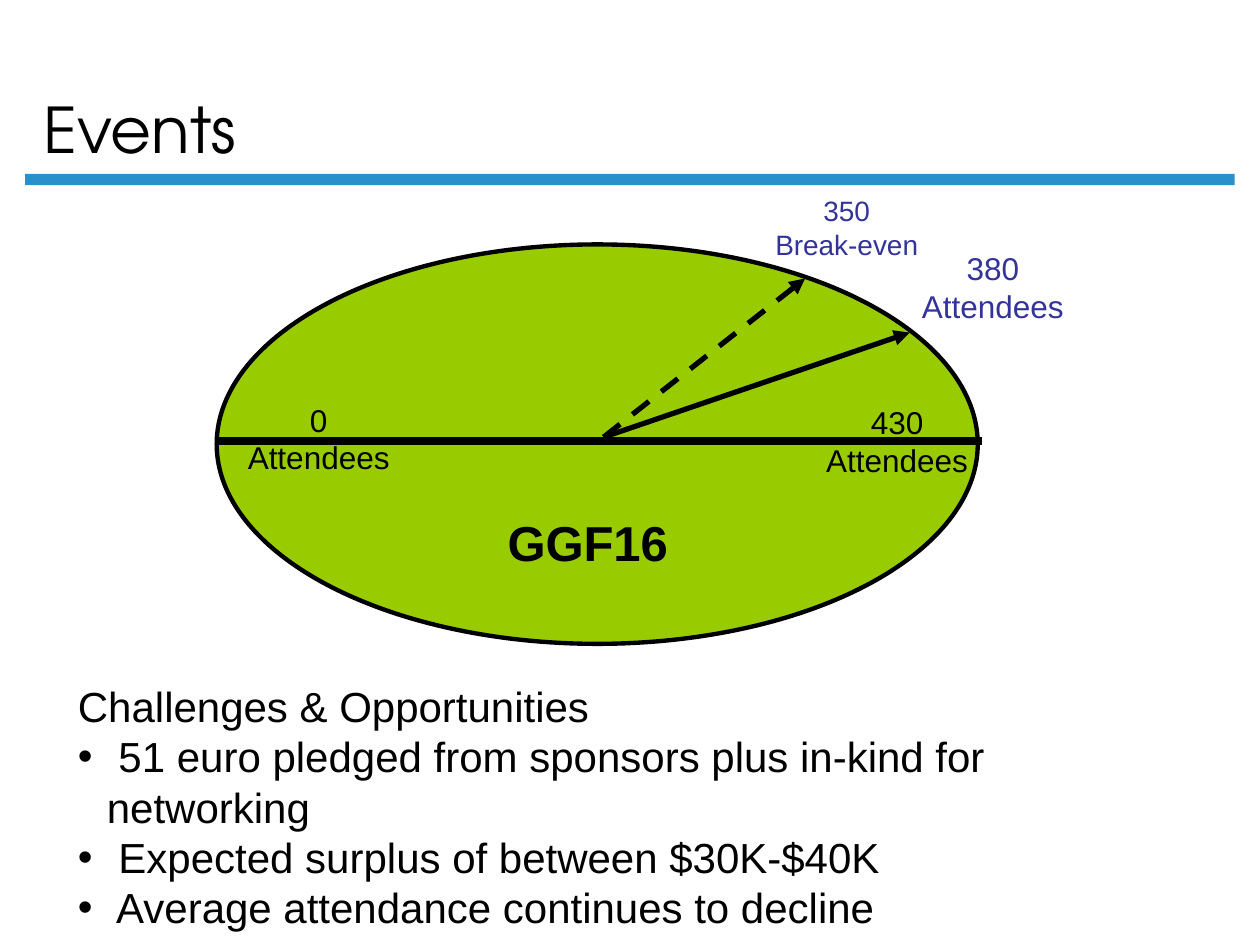
from lxml.etree import SubElement as Sub
from pptx import Presentation
from pptx.dml.color import RGBColor as Rgb
from pptx.enum.dml import MSO_LINE as Dash
from pptx.enum.shapes import MSO_CONNECTOR as Link, MSO_SHAPE as Form
from pptx.enum.text import MSO_ANCHOR as Anchor, PP_ALIGN as Align
from pptx.oxml.ns import qn
from pptx.util import Inches, Pt

HUES = {"ink": "000000", "bar": "2990CA", "dial": "99CC00", "mark": "333399"}
UNIT = Inches(0.1)


def hue(name):
    """Return a named colour."""
    return Rgb.from_string(HUES[name])


def grid(*spans):
    """Turn columns and rows of a 100 by 75 grid into lengths."""
    return [round(span * UNIT) for span in spans]


def shift(box, part):
    """Place a part, given relative to a box, on the slide."""
    return (box[0] + part[0], box[1] + part[1], *part[2:])


def form(slide, kind, box, fill, edge=None):
    """Draw a filled shape, outlined if an edge width is given."""
    shape = slide.shapes.add_shape(kind, *grid(*box))
    shape.shadow.inherit = False
    shape.fill.solid()
    shape.fill.fore_color.rgb = hue(fill)
    if edge:
        shape.line.color.rgb = hue("ink")
        shape.line.width = Pt(edge)
    else:
        shape.line.fill.background()


def rule(slide, start, end, width, head=True, dash=None):
    """Draw a straight line, with an arrowhead at its end if asked."""
    link = slide.shapes.add_connector(Link.STRAIGHT, *grid(*start, *end))
    link.line.color.rgb = hue("ink")
    link.line.width = Pt(width)
    if dash:
        link.line.dash_style = dash
    if head:
        Sub(link.line._get_or_add_ln(), qn("a:tailEnd"), type="triangle")
    Sub(link._element.spPr, qn("a:effectLst"))


def bullet(para):
    """Give a paragraph a hanging bullet."""
    props = para._p.get_or_add_pPr()
    inset = Inches(0.23)
    props.set("marL", str(inset))
    props.set("indent", str(-inset))
    Sub(props, qn("a:buFont"), typeface="Arial")
    Sub(props, qn("a:buChar"), char="•")


def write(slide, box, lines, size, tone="ink", face="Arial", bold=False,
          align=Align.LEFT, anchor=Anchor.TOP, wrap=False, dots=False):
    """Write lines of text; with dots, all but the first are bulleted."""
    frame = slide.shapes.add_textbox(*grid(*box)).text_frame
    frame.word_wrap = wrap
    frame.vertical_anchor = anchor
    for i, line in enumerate(lines):
        para = frame.add_paragraph() if i else frame.paragraphs[0]
        para.text = line
        para.alignment = align
        if dots and i:
            bullet(para)
        font = para.font
        font.name, font.size, font.bold = face, Pt(size), bold
        font.color.rgb = hue(tone)


def header(slide, box):
    """Place the title above its bar."""
    x, y, w, h = box
    write(slide, (x + 0.5, y, w - 10.4, h - 1), ["Events"], 36,
          face="TeX Gyre Adventor", anchor=Anchor.BOTTOM, wrap=True)
    form(slide, Form.RECTANGLE, (x, y + h - 0.9, w, 0.9), "bar")


def dial(slide, box):
    """Place the attendance dial with its needles and labels."""
    form(slide, Form.OVAL, box, "dial", 2.5)
    rule(slide, shift(box, (0.2, 15.6)), shift(box, (60.7, 15.6)), 4.5, False)
    hub = shift(box, (30.7, 15.3))
    for tip, dash in (((55, 7), None), ((46.7, 2.7), Dash.DASH)):
        rule(slide, hub, shift(box, tip), 3, dash=dash)
    labels = (
        (47, 12.1, "430", "Attendees", 18, "ink"),
        (54.6, -0.1, "380", "Attendees", 18, "mark"),
        (1.1, 11.9, "0", "Attendees", 18, "ink"),
        (43, -4.5, "350", "Break-even", 16, "mark"),
    )
    for x, y, count, noun, size, tone in labels:
        write(slide, shift(box, (x, y, 14, 7)), [count, noun], size, tone,
              align=Align.CENTER)
    write(slide, shift(box, (22.1, 20.8, 14.7, 5.7)), ["GGF16"], 28, bold=True)


def notes(slide, box):
    """Place the challenges and opportunities."""
    write(slide, box, [
        "Challenges & Opportunities",
        " 51 euro pledged from sponsors plus in-kind for networking",
        " Expected surplus of between $30K-$40K",
        " Average attendance continues to decline",
    ], 24, wrap=True, dots=True)


def main():
    """Build the slide."""
    deck = Presentation()
    deck.slide_width, deck.slide_height = grid(100, 75)
    slide = deck.slides.add_slide(deck.slide_layouts[6])
    header(slide, (2, 1.2, 96, 13.5))
    dial(slide, (17.2, 19.4, 60.4, 31.7))
    notes(slide, (5.2, 53.5, 88, 17))
    deck.save("out.pptx")


if __name__ == "__main__":
    main()
